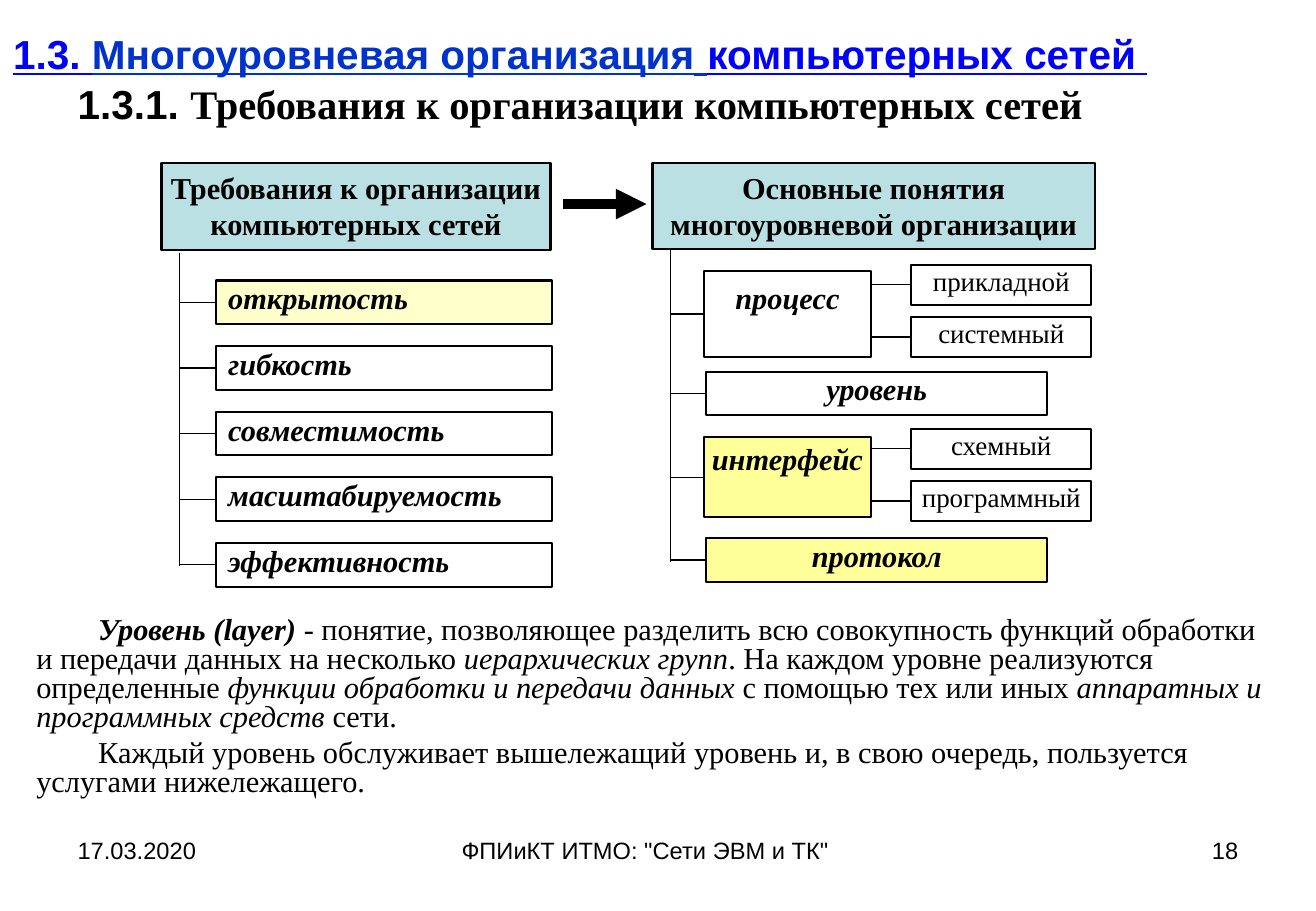
from dataclasses import dataclass

from lxml import etree
from pptx import Presentation
from pptx.dml.color import RGBColor
from pptx.enum.shapes import MSO_CONNECTOR, MSO_SHAPE
from pptx.enum.text import MSO_ANCHOR, MSO_AUTO_SIZE, PP_ALIGN
from pptx.oxml.ns import qn
from pptx.util import Inches, Pt

STRAIGHT = MSO_CONNECTOR.STRAIGHT
RECTANGLE = MSO_SHAPE.RECTANGLE
TOP, MIDDLE = MSO_ANCHOR.TOP, MSO_ANCHOR.MIDDLE
LEFT, CENTER, RIGHT = PP_ALIGN.LEFT, PP_ALIGN.CENTER, PP_ALIGN.RIGHT
FIXED_SIZE = MSO_AUTO_SIZE.NONE
LEFT_SIDE = 1


@dataclass(frozen=True)
class Theme:
    sans: str = "Arial"
    serif: str = "Times New Roman"
    ink: str = "000000"
    link: str = "0000FF"
    link_dark: str = "0033CC"
    header: str = "BBE0E3"
    pale: str = "FFFFCC"
    yellow: str = "FFFF99"
    title: int = 24
    title_gap: int = 28
    text: int = 18
    small: int = 16
    footer: int = 14
    tight: float = 0.8


THEME = Theme()
BOLD = {"bold": True}
ITALIC = {"italic": True}
BOLD_ITALIC = BOLD | ITALIC
LINK = BOLD | {"underline": True, "name": THEME.sans}

ROW_HEIGHT, ROW_PITCH = 0.36, 0.54
LEFT_SPINE, RIGHT_SPINE = 1.48, 5.52
NARROW_INSETS = (0.02, 0.05, 0.02, 0.05)
NORMAL_INSETS = (0.1, 0.05, 0.1, 0.05)

REQUIREMENTS = ["открытость", "гибкость", "совместимость", "масштабируемость", "эффективность"]
# name, top, height, top inset, fill, kinds
GROUPS = [
    ("процесс", 2.23, 0.71, 0.13, None, ["прикладной", "системный"]),
    ("интерфейс", 3.6, 0.66, 0.08, THEME.yellow, ["схемный", "программный"]),
]
# name, top, fill
CONCEPTS = [("уровень", 3.06, None), ("протокол", 4.43, THEME.yellow)]
KIND_TOP, KIND_PITCH, KIND_HEIGHT = 2.18, 0.43, 0.33
GROUP_PITCH = 1.35

DEFINITION = [
    [
        ("Уровень (layer) ", BOLD_ITALIC),
        ("- понятие, позволяющее разделить всю совокупность функций обработки "
         "и передачи данных на несколько ", {}),
        ("иерархических групп", ITALIC),
        (". На каждом уровне реализуются определенные ", {}),
        ("функции обработки и передачи данных ", ITALIC),
        ("с помощью тех или иных ", {}),
        ("аппаратных и программных средств ", ITALIC),
        ("сети.", {}),
    ],
    [("Каждый уровень обслуживает вышележащий уровень и, в свою очередь, "
      "пользуется услугами нижележащего.", {})],
]


def add_span(para, text, size, color=THEME.ink, **values):
    span = para.add_run()
    span.text = text
    span.font.color.rgb = RGBColor.from_string(color)
    formats = {"name": THEME.serif, "size": Pt(size), "bold": False, "italic": False} | values
    for name, value in formats.items():
        setattr(span.font, name, value)


def set_frame(frame, insets=NORMAL_INSETS, anchor=TOP):
    left, top, right, bottom = map(Inches, insets)
    values = {
        "word_wrap": True, "auto_size": FIXED_SIZE, "vertical_anchor": anchor,
        "margin_left": left, "margin_top": top, "margin_right": right, "margin_bottom": bottom,
    }
    for name, value in values.items():
        setattr(frame, name, value)


def add_box(slide, place, text, fill=None, size=THEME.text, align=CENTER,
            insets=NARROW_INSETS, spacing=THEME.tight, border=1.25, style=BOLD_ITALIC):
    box = slide.shapes.add_shape(RECTANGLE, *map(Inches, place))
    box.shadow.inherit = False
    if fill:
        box.fill.solid()
        box.fill.fore_color.rgb = RGBColor.from_string(fill)
    else:
        box.fill.background()
    box.line.color.rgb = RGBColor.from_string(THEME.ink)
    box.line.width = Pt(border)
    set_frame(box.text_frame, insets)
    para = box.text_frame.paragraphs[0]
    para.alignment = align
    para.line_spacing = spacing
    add_span(para, text, size, **style)
    return box


def add_header(slide, place, text):
    add_box(slide, place, text, THEME.header, spacing=1.0, border=1.5, style=BOLD)


def add_line(slide, start, end, width=0.75):
    line = slide.shapes.add_connector(STRAIGHT, *map(Inches, start + end))
    line.line.color.rgb = RGBColor.from_string(THEME.ink)
    line.line.width = Pt(width)
    etree.SubElement(line._element.spPr, qn("a:effectLst"))
    return line


def add_branch(slide, start_x, box):
    """Join a vertical edge at start_x to the middle of the box's left side."""
    middle = (box.top + box.height / 2) / Inches(1)
    line = add_line(slide, (start_x, middle), (box.left / Inches(1), middle))
    line.end_connect(box, LEFT_SIDE)


def add_arrow(slide, start, end):
    arrow = add_line(slide, start, end, 6)
    etree.SubElement(arrow.line._get_or_add_ln(), qn("a:tailEnd"), type="triangle")


def add_title(slide):
    title = slide.shapes.title
    title.left, title.top, title.width, title.height = map(Inches, (0, -0.01, 9.55, 1.25))
    set_frame(title.text_frame, anchor=MIDDLE)
    para = title.text_frame.paragraphs[0]
    para.alignment = CENTER
    add_span(para, "1.3. ", THEME.title, THEME.link, **LINK)
    add_span(para, "Многоуровневая организация", THEME.title, THEME.link_dark, **LINK)
    add_span(para, " ", THEME.title_gap, THEME.link_dark, **LINK)
    add_span(para, "компьютерных сетей ", THEME.title, THEME.link, **LINK)
    para.add_line_break()
    add_span(para, "1.3.1. ", THEME.title, name=THEME.sans, bold=True)
    add_span(para, "Требования к организации компьютерных сетей", THEME.title, bold=True)


def add_requirements(slide):
    add_header(slide, (1.33, 1.34, 3.2, 0.72), "Требования к организации компьютерных сетей")
    for row, name in enumerate(REQUIREMENTS):
        place = (1.78, 2.31 + row * ROW_PITCH, 2.76, ROW_HEIGHT)
        box = add_box(slide, place, name, None if row else THEME.pale,
                      align=LEFT, insets=NORMAL_INSETS)
        add_branch(slide, LEFT_SPINE, box)
    add_line(slide, (LEFT_SPINE, 2.08), (LEFT_SPINE, 4.66))


def add_concepts(slide):
    add_header(slide, (5.37, 1.34, 3.64, 0.71), "Основные понятия многоуровневой организации")
    add_line(slide, (RIGHT_SPINE, 2.05), (RIGHT_SPINE, 4.63))
    for name, top, fill in CONCEPTS:
        add_branch(slide, RIGHT_SPINE, add_box(slide, (5.81, top, 2.81, ROW_HEIGHT), name, fill))
    for number, (name, top, height, inset, fill, kinds) in enumerate(GROUPS):
        group = add_box(slide, (5.79, top, 1.38, height), name, fill,
                        insets=(0.02, inset, 0.02, 0.05))
        add_branch(slide, RIGHT_SPINE, group)
        for row, kind in enumerate(kinds):
            kind_top = KIND_TOP + number * GROUP_PITCH + row * KIND_PITCH
            box = add_box(slide, (7.5, kind_top, 1.48, KIND_HEIGHT), kind,
                          size=THEME.small, style={})
            add_branch(slide, 7.18, box)


def add_definition(slide):
    box = slide.shapes.add_textbox(*map(Inches, (0.2, 5.03, 10.39, 1.28)))
    set_frame(box.text_frame)
    for number, spans in enumerate(DEFINITION):
        para = box.text_frame.add_paragraph() if number else box.text_frame.paragraphs[0]
        para._p.get_or_add_pPr().set("indent", str(Inches(0.51)))
        para.line_spacing = THEME.tight
        para.space_before = Pt(4 if number else 0)
        for text, style in spans:
            add_span(para, text, THEME.text, **style)


def add_footer(slide, left, width, text, align=LEFT):
    box = slide.shapes.add_textbox(*map(Inches, (left, 6.83, width, 0.52)))
    set_frame(box.text_frame)
    para = box.text_frame.paragraphs[0]
    para.alignment = align
    add_span(para, text, THEME.footer, name=THEME.sans)


def main():
    deck = Presentation()
    deck.slide_width, deck.slide_height = Inches(10.83), Inches(7.5)
    slide = deck.slides.add_slide(deck.slide_layouts.get_by_name("Title Only"))
    add_title(slide)
    add_requirements(slide)
    add_arrow(slide, (4.63, 1.68), (5.32, 1.68))
    add_concepts(slide)
    add_definition(slide)
    add_footer(slide, 0.54, 2.53, "17.03.2020")
    add_footer(slide, 3.7, 3.43, 'ФПИиКТ ИТМО: "Сети ЭВМ и ТК"')
    add_footer(slide, 7.76, 2.53, "18", RIGHT)
    deck.save("out.pptx")


if __name__ == "__main__":
    main()
